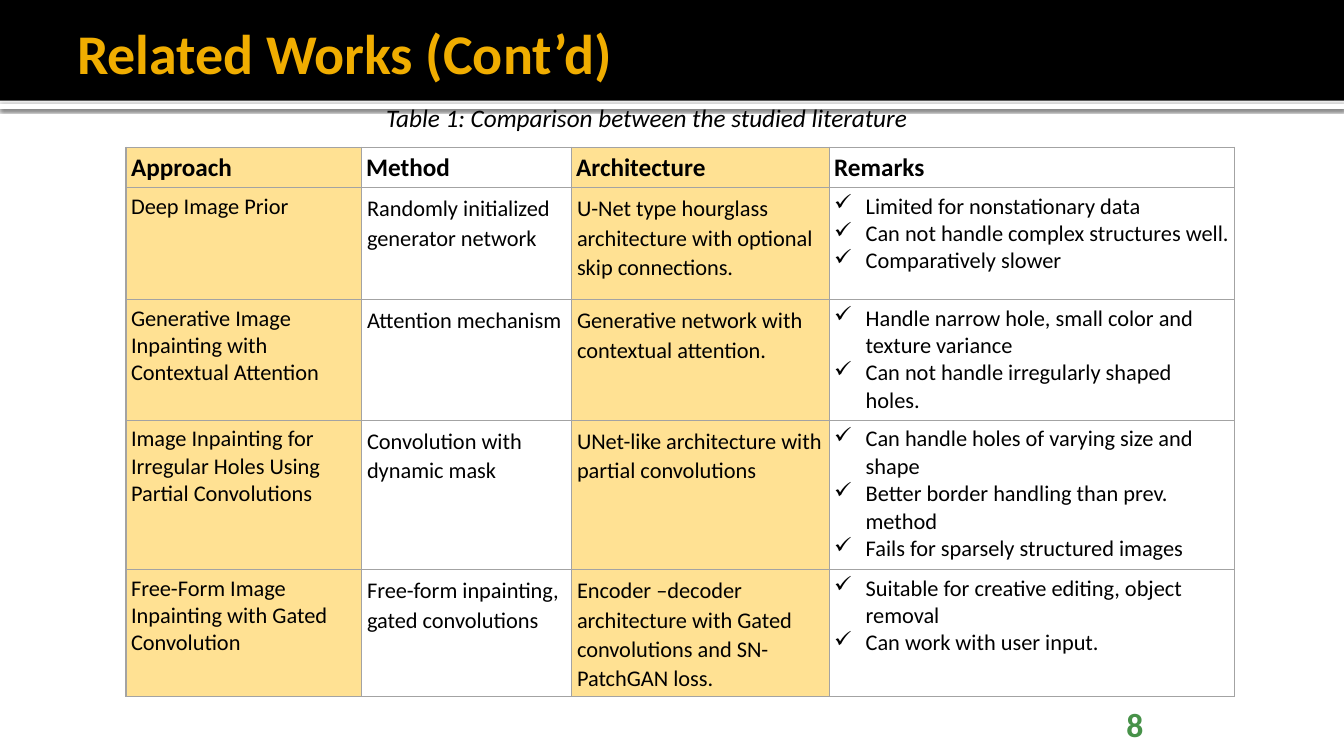
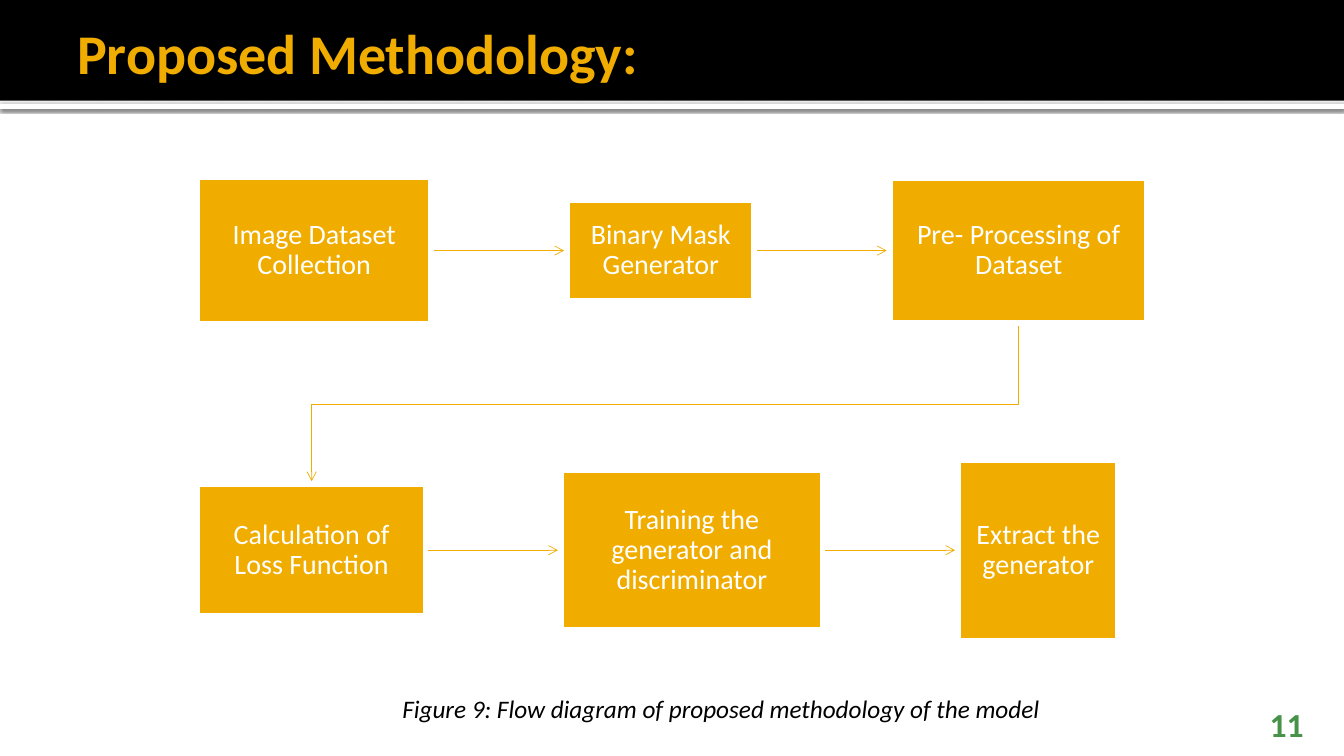
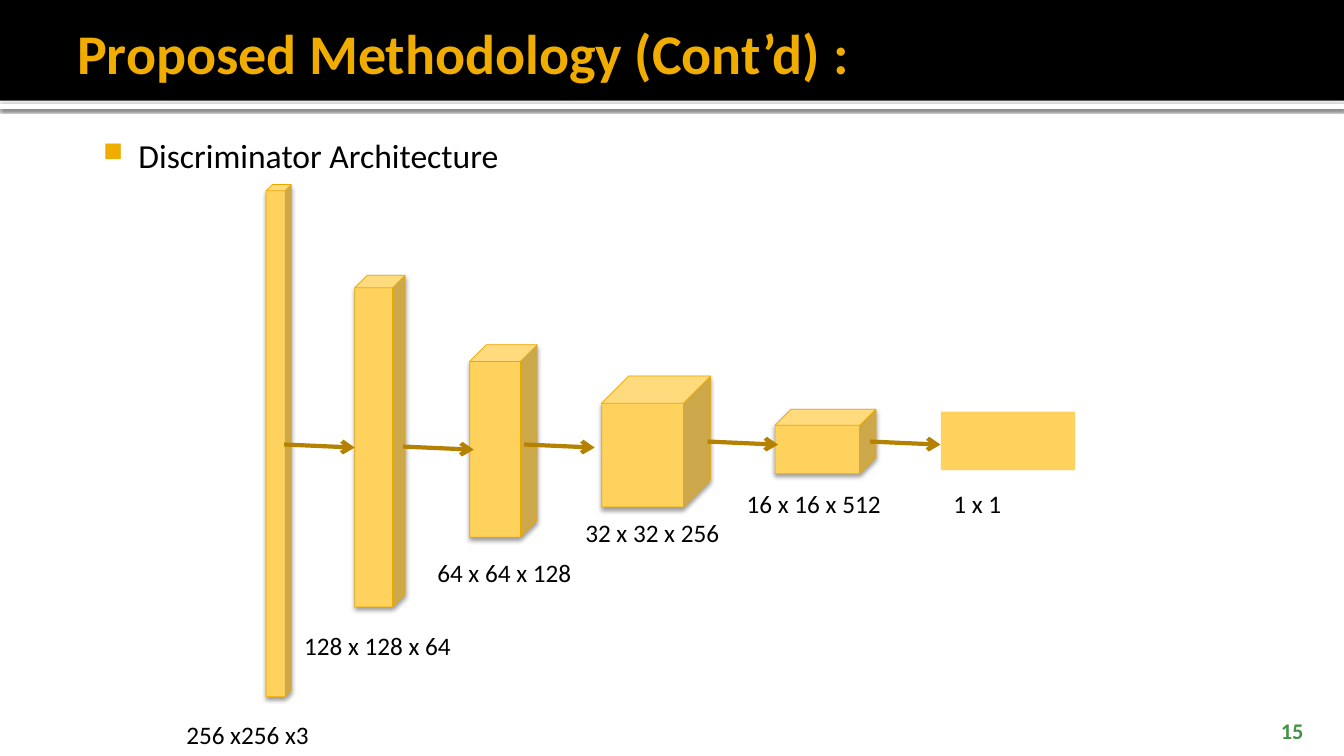
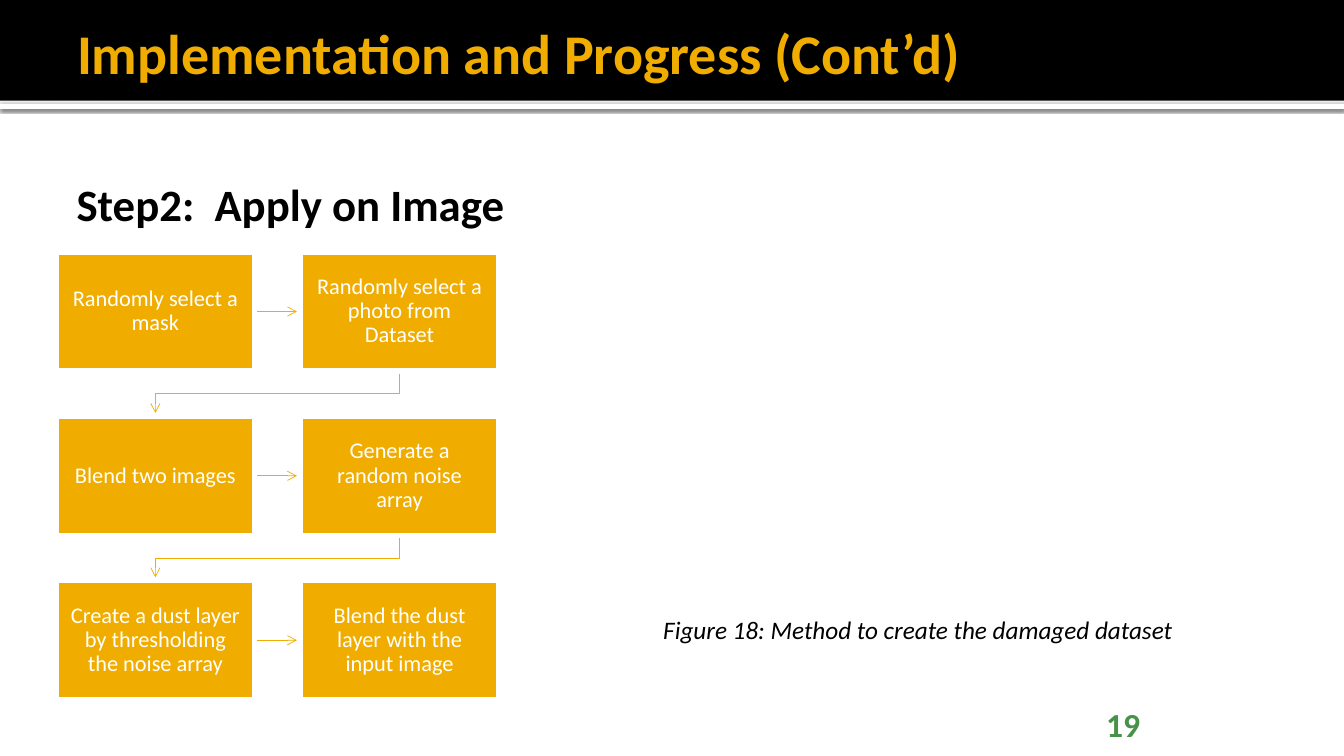
from lxml import etree
from pptx import Presentation
from pptx import util as u
from pptx.dml.color import RGBColor
from pptx.enum import shapes, text
from pptx.oxml import ns

FONT = "Calibri"
BLACK = RGBColor(0x00, 0x00, 0x00)
WHITE = RGBColor(0xFF, 0xFF, 0xFF)
AMBER = RGBColor(0xF0, 0xAD, 0x00)
LIGHT_AMBER = RGBColor(0xFF, 0xD2, 0x5D)
PALE_AMBER = RGBColor(0xFF, 0xE1, 0x93)
EDGE_AMBER = RGBColor(0xEB, 0xA9, 0x00)
DARK_AMBER = RGBColor(0xB4, 0x82, 0x00)
GREEN = RGBColor(0x47, 0x92, 0x49)
GREY = RGBColor(0xA3, 0xA3, 0xA3)

LEFT, CENTER, RIGHT = text.PP_ALIGN.LEFT, text.PP_ALIGN.CENTER, text.PP_ALIGN.RIGHT
TOP, MIDDLE, BOTTOM = text.MSO_ANCHOR.TOP, text.MSO_ANCHOR.MIDDLE, text.MSO_ANCHOR.BOTTOM
RECTANGLE, CUBE = shapes.MSO_SHAPE.RECTANGLE, shapes.MSO_SHAPE.CUBE
STRAIGHT = shapes.MSO_CONNECTOR.STRAIGHT


def write_text(frame, content, size=18, color=BLACK, bold=False, italic=False, align=LEFT,
               anchor=TOP, insets=(7.2, 3.6, 7.2, 3.6), spacing=None, indent=0, hanging=0,
               bullet=None, bullet_color=None, bullet_percent=100):
    """Fill a text frame, one paragraph per line; insets=None leaves the frame as it is."""
    if insets:
        frame.word_wrap = True
        frame.vertical_anchor = anchor
        frame.margin_left, frame.margin_top, frame.margin_right, frame.margin_bottom = map(u.Pt, insets)
    frame.text = content
    for paragraph in frame.paragraphs:
        paragraph.alignment = align
        if spacing:
            paragraph.line_spacing = spacing
        font = paragraph.runs[0].font
        font.name, font.size, font.bold, font.italic = FONT, u.Pt(size), bold, italic
        font.color.rgb = color
        properties = paragraph._p.get_or_add_pPr()
        properties.set("marL", str(u.Pt(indent)))
        properties.set("indent", str(u.Pt(-hanging)))
        if bullet:
            bullet_fill = etree.SubElement(properties, ns.qn("a:buClr"))
            etree.SubElement(bullet_fill, ns.qn("a:srgbClr"), val=str(bullet_color or color))
            etree.SubElement(properties, ns.qn("a:buSzPct"), val=str(bullet_percent * 1000))
            etree.SubElement(properties, ns.qn("a:buChar"), char=bullet)


def style_shape(shape, fill=None, line=None, width=0.5, arrow=False, shadow=None):
    """Set fill, line, arrowhead and shadow; shadow is (opacity percent, blur, distance)."""
    if fill is not None:
        shape.fill.solid()
        shape.fill.fore_color.rgb = fill
    if line is None:
        shape.line.fill.background()
    else:
        shape.line.color.rgb = line
        shape.line.width = u.Pt(width)
    properties = shape.element.spPr
    if arrow:
        etree.SubElement(properties.find(ns.qn("a:ln")), ns.qn("a:tailEnd"), type="arrow")
    effects = etree.SubElement(properties, ns.qn("a:effectLst"))
    if shadow:
        opacity, blur, distance = shadow
        outer = etree.SubElement(effects, ns.qn("a:outerShdw"), blurRad=str(u.Pt(blur)),
                                 dist=str(u.Pt(distance)), dir="5400000", rotWithShape="0")
        shadow_color = etree.SubElement(outer, ns.qn("a:srgbClr"), val=str(BLACK))
        etree.SubElement(shadow_color, ns.qn("a:alpha"), val=str(opacity * 1000))


presentation = Presentation()
presentation.slide_width, presentation.slide_height = u.Pt(960), u.Pt(540)

# Bands, titles and slide numbers: title, number, number size, right edge of the number
headings = [
    ("Related Works (Cont’d)", "8", 24, 823.7),
    ("Proposed Methodology:", "11", 24, 938.2),
    ("Proposed Methodology (Cont’d) :", "15", 16, 938.2),
    ("Implementation and Progress (Cont’d)", "19", 24, 821.5),
]
slides = []
for title, number, number_size, number_right in headings:
    slide = presentation.slides.add_slide(presentation.slide_layouts[6])
    slides.append(slide)
    strip = slide.shapes.add_shape(RECTANGLE, 0, u.Pt(74.2), u.Pt(960), u.Pt(3.6))
    style_shape(strip, fill=WHITE, shadow=(60, 2.5, 0.8))
    band = slide.shapes.add_shape(RECTANGLE, 0, 0, u.Pt(960), u.Pt(72))
    style_shape(band, fill=BLACK)
    title_box = slide.shapes.add_textbox(u.Pt(48), u.Pt(6), u.Pt(864), u.Pt(62.5))
    write_text(title_box.text_frame, title, size=40, color=AMBER, bold=True,
               anchor=MIDDLE, insets=(7.2, 3.6, 3.6, 3.6))
    number_box = slide.shapes.add_textbox(u.Pt(number_right - 60), u.Pt(510), u.Pt(60), u.Pt(21.6))
    write_text(number_box.text_frame, number, size=number_size, color=GREEN, bold=True,
               align=RIGHT, anchor=BOTTOM, insets=(7.2, 3.6, 7.2, 0))
table_slide, method_slide, discriminator_slide, steps_slide = slides

# Captions: slide, left, top, width, wording
for slide, left, top, width, caption in [
    (table_slide, 216, 69.8, 492, "Table 1: Comparison between the studied literature"),
    (method_slide, 206.6, 492, 617, "Figure 9: Flow diagram of proposed methodology of the model"),
    (steps_slide, 463.7, 435, 384, "Figure 18: Method to create the damaged dataset"),
]:
    caption_box = slide.shapes.add_textbox(u.Pt(left), u.Pt(top), u.Pt(width), u.Pt(29))
    write_text(caption_box.text_frame, caption, italic=True, align=CENTER)

# Literature table
rows = [
    ("Approach", "Method", "Architecture", "Remarks"),
    ("Deep Image Prior",
     "Randomly initialized generator network",
     "U-Net type hourglass architecture with optional skip connections.",
     "Limited for nonstationary data\nCan not handle complex structures well.\nComparatively slower"),
    ("Generative Image Inpainting with Contextual Attention",
     "Attention mechanism",
     "Generative network with contextual attention.",
     "Handle narrow hole, small color and texture variance\n"
     "Can not handle irregularly shaped holes."),
    ("Image Inpainting for Irregular Holes Using\nPartial Convolutions",
     "Convolution with dynamic mask",
     "UNet-like architecture with partial convolutions",
     "Can handle holes of varying size and shape\nBetter border handling than prev. method\n"
     "Fails for sparsely structured images"),
    ("Free-Form Image Inpainting with Gated Convolution",
     "Free-form inpainting, gated convolutions",
     "Encoder –decoder architecture with Gated convolutions and SN-PatchGAN loss.",
     "Suitable for creative editing, object removal\nCan work with user input."),
]
column_widths = [168, 150, 184.3, 289.4]
row_heights = [28.6, 80, 86.4, 106.5, 90]
table = table_slide.shapes.add_table(len(rows), len(column_widths), u.Pt(90), u.Pt(105.2),
                                     u.Pt(sum(column_widths)), u.Pt(sum(row_heights))).table
table.first_row = table.horz_banding = False
for column, width in zip(table.columns, column_widths):
    column.width = u.Pt(width)
for row, height in zip(table.rows, row_heights):
    row.height = u.Pt(height)
for row_index, row in enumerate(rows):
    for column_index, content in enumerate(row):
        cell = table.cell(row_index, column_index)
        is_header = row_index == 0
        is_loose = not is_header and column_index in (1, 2)
        is_list = not is_header and column_index == 3
        margin = u.Pt(4.2 if is_loose else 3.6)
        cell.margin_left = cell.margin_top = cell.margin_right = cell.margin_bottom = margin
        cell_properties = cell._tc.get_or_add_tcPr()
        for side in ("lnL", "lnR", "lnT", "lnB"):
            border = etree.SubElement(cell_properties, ns.qn("a:" + side), w=str(u.Pt(1)))
            border_fill = etree.SubElement(border, ns.qn("a:solidFill"))
            etree.SubElement(border_fill, ns.qn("a:srgbClr"), val=str(GREY))
        cell.fill.solid()
        cell.fill.fore_color.rgb = WHITE if column_index % 2 else PALE_AMBER
        write_text(cell.text_frame, content, size=18 if is_header else 16, bold=is_header,
                   insets=None, spacing=1.07 if is_loose else None,
                   indent=22.5 if is_list else 0, hanging=22.5 if is_list else 0,
                   bullet="✓" if is_list else None)

# Flow diagrams: slide, text size, inset, rows of (centre line, boxes of left, width, height, text)
steps = [
    ("Randomly select a mask", "Randomly select a photo from Dataset"),
    ("Blend two images", "Generate a random noise array"),
    ("Create a dust layer by thresholding the noise array",
     "Blend the dust layer with the input image"),
]
step_rows = [
    (222.5 + 117.4 * row_index,
     [(40.2 + 174.4 * column_index, 141.6, 85, step) for column_index, step in enumerate(pair)])
    for row_index, pair in enumerate(steps)
]
method_rows = [
    (179, [(141, 167, 104.4, "Image Dataset Collection"),
           (405.4, 133.2, 71.3, "Binary Mask Generator"),
           (635.8, 183.6, 103.7, "Pre- Processing of Dataset")]),
    (393, [(141, 163.2, 93.6, "Calculation of Loss Function"),
           (401, 186.5, 113.8, "Training the generator and discriminator"),
           (684.7, 113.8, 128.9, "Extract the generator")]),
]
GAP = 2.5
for slide, size, inset, flow_rows in [(method_slide, 20, 11.5, method_rows),
                                      (steps_slide, 16, 8.6, step_rows)]:
    for row_index, (center, boxes) in enumerate(flow_rows):
        for box_index, (left, width, height, label) in enumerate(boxes):
            arrow = None
            if box_index + 1 < len(boxes):
                next_left = boxes[box_index + 1][0]
                arrow = slide.shapes.add_connector(STRAIGHT, u.Pt(left + width), u.Pt(center),
                                                   u.Pt(next_left - GAP), u.Pt(center))
                style_shape(arrow, line=AMBER, arrow=True)
            elif row_index + 1 < len(flow_rows):
                next_center, next_boxes = flow_rows[row_index + 1]
                next_left, next_width, next_height, _ = next_boxes[0]
                start_x, start_y = left + width / 2, center + height / 2
                end_x, end_y = next_left + next_width / 2, next_center - next_height / 2
                bend_y = (start_y + end_y) / 2
                builder = slide.shapes.build_freeform(u.Pt(start_x), u.Pt(start_y))
                builder.add_line_segments(
                    [(u.Pt(x), u.Pt(y)) for x, y in
                     [(start_x, bend_y), (end_x, bend_y), (end_x, end_y - GAP)]], close=False)
                elbow = builder.convert_to_shape()
                elbow.fill.background()
                style_shape(elbow, line=AMBER, arrow=True)
            box = slide.shapes.add_shape(RECTANGLE, u.Pt(left), u.Pt(center - height / 2),
                                         u.Pt(width), u.Pt(height))
            style_shape(box, fill=AMBER, line=WHITE, width=3.78)
            write_text(box.text_frame, label, size=size, color=WHITE, align=CENTER,
                       anchor=MIDDLE, insets=(inset,) * 4, spacing=0.9)
            if arrow is not None:
                arrow.begin_connect(box, 3)

# Discriminator layers
for left, top, width, height in [(190, 131.8, 18, 365.8), (253.4, 196.6, 36, 236.9),
                                 (335.5, 246.2, 48.2, 137.5), (429.8, 268.6, 77.8, 93.6),
                                 (553.7, 292.3, 72, 46.1)]:
    layer = discriminator_slide.shapes.add_shape(CUBE, u.Pt(left), u.Pt(top), u.Pt(width), u.Pt(height))
    style_shape(layer, fill=LIGHT_AMBER, line=EDGE_AMBER, shadow=(38, 3.5, 2))
output = discriminator_slide.shapes.add_shape(RECTANGLE, u.Pt(672), u.Pt(294), u.Pt(96), u.Pt(41.8))
style_shape(output, fill=LIGHT_AMBER)

# Arrows between layers, all with the same slope
for left, top in [(203, 317.5), (288, 319), (374.4, 317.5), (505.4, 315.4), (621.4, 315.4)]:
    arrow = discriminator_slide.shapes.add_connector(STRAIGHT, u.Pt(left), u.Pt(top),
                                                     u.Pt(left + 50.4), u.Pt(top + 2.2))
    style_shape(arrow, line=DARK_AMBER, width=3, arrow=True)

# Layer sizes
for left, top, label in [(126, 510, "256 x256 x3"), (210.2, 447, "128 x 128 x 64"),
                         (305.3, 394.6, "64 x 64 x 128"), (411, 365.8, "32 x 32 x 256"),
                         (526.3, 345, "16 x 16 x 512"), (674, 345, "1 x 1")]:
    label_box = discriminator_slide.shapes.add_textbox(u.Pt(left), u.Pt(top), u.Pt(138), u.Pt(29))
    write_text(label_box.text_frame, label)

# Subheadings
topic_box = discriminator_slide.shapes.add_textbox(u.Pt(60), u.Pt(89.3), u.Pt(864), u.Pt(40))
write_text(topic_box.text_frame, "Discriminator Architecture", size=24,
           insets=(4.3, 7.2, 7.2, 3.6), indent=34.6, hanging=25.2,
           bullet="■", bullet_color=AMBER, bullet_percent=80)
step_box = steps_slide.shapes.add_textbox(u.Pt(41), u.Pt(100), u.Pt(420), u.Pt(53.3))
write_text(step_box.text_frame, "Step2:  Apply on Image", size=32, bold=True,
           insets=(4.3, 7.2, 7.2, 3.6), indent=9.4, spacing=1.5)

presentation.save("out.pptx")
